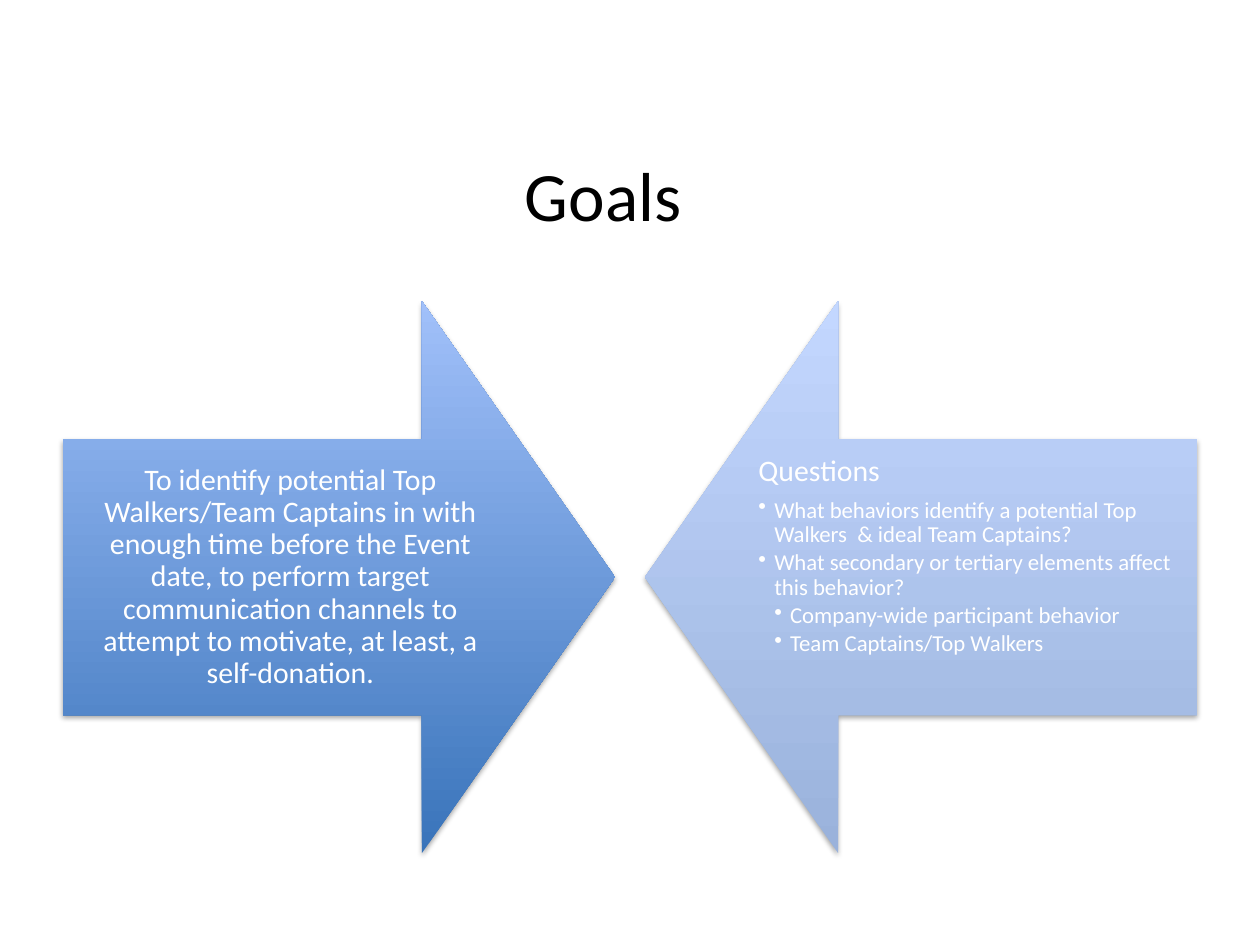
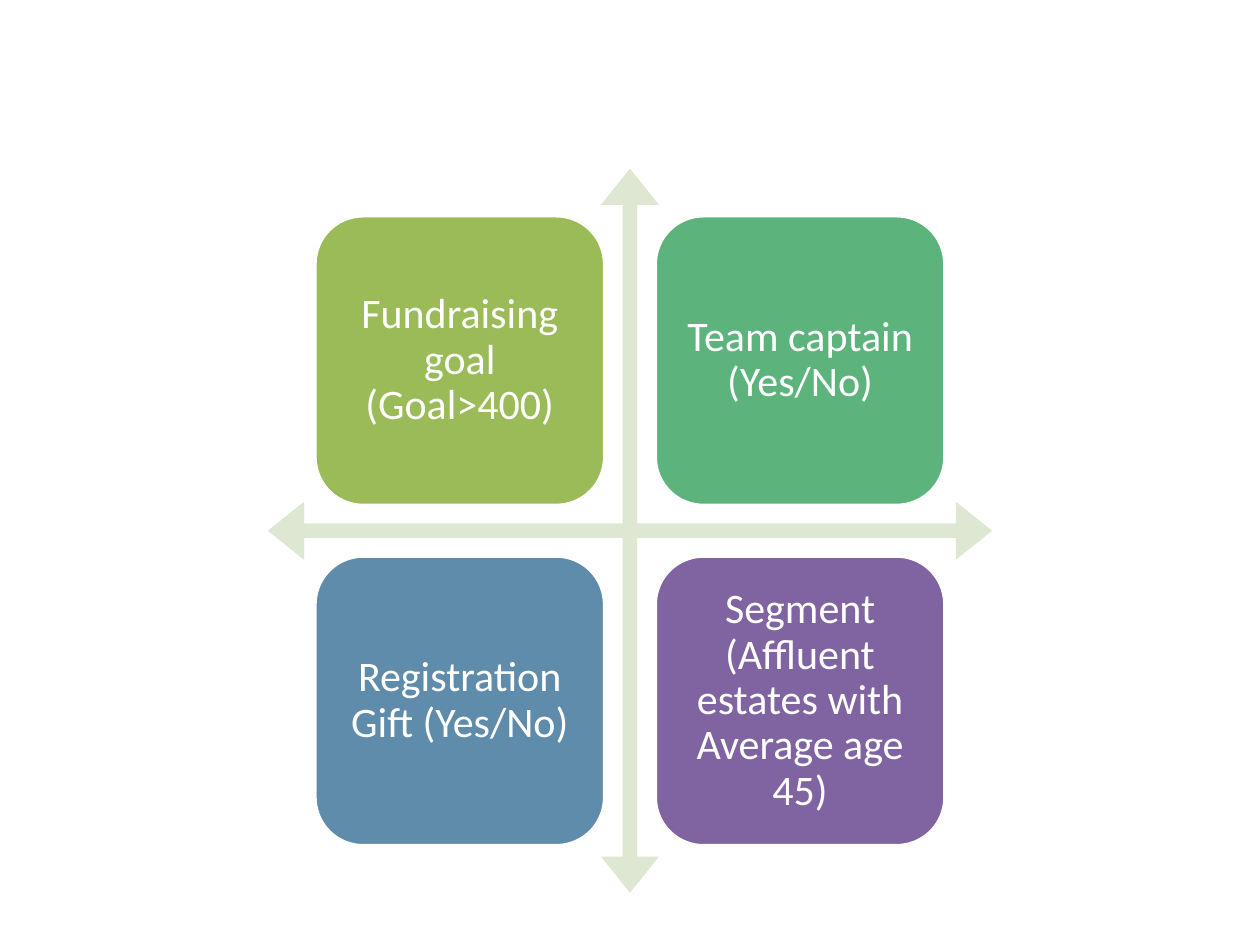
from lxml import etree
from pptx import Presentation
from pptx.dml.color import RGBColor
from pptx.enum import shapes, text
from pptx.oxml.ns import qn
from pptx.util import Cm, Pt

FONT = "Calibri"
HEX = {
    "ink": "000000", "white": "FFFFFF",
    "deep": "3974BA", "sky": "A1C0FA",
    "haze": "9AB2DB", "mist": "C3D7FF",
    "cross": "DEE7D1", "lime": "9BBB59", "green": "5CB37C",
    "blue": "608CAB", "plum": "8064A2",
}
KIND = shapes.MSO_SHAPE
ALIGN = text.PP_ALIGN
MIDDLE = text.MSO_ANCHOR.MIDDLE

GOAL = ("To identify potential Top Walkers/Team Captains in with enough time "
        "before the Event date, to perform target communication channels to "
        "attempt to motivate, at least, a self-donation.")
ASKS = [
    (1, "What behaviors identify a potential Top Walkers  & ideal Team Captains?"),
    (1, "What secondary or tertiary elements affect this behavior?"),
    (2, "Company-wide participant behavior"),
    (2, "Team Captains/Top Walkers"),
]
TILES = [
    ("Fundraising goal (Goal>400)", "lime"),
    ("Team captain (Yes/No)", "green"),
    ("Registration Gift (Yes/No)", "blue"),
    ("Segment (Affluent estates with Average age 45)", "plum"),
]


def rgb(name):
    return RGBColor.from_string(HEX[name])


def style(para, size, color="white", align=ALIGN.CENTER, line=0.9):
    para.alignment = align
    para.line_spacing = line
    font = para.font
    font.name, font.size = FONT, Pt(size)
    font.color.rgb = rgb(color)


def bullet(para, level):
    """Hang a bullet, one step further in for each level."""
    step = Cm(0.32)
    props = para._p.get_or_add_pPr()
    props.set("marL", str(step * level))
    props.set("indent", str(-step))
    etree.SubElement(props, qn("a:buChar")).set("char", "•")
    para.level = level


def frame(shape, inset):
    """Prepare the text area of a shape."""
    area = shape.text_frame
    area.word_wrap = True
    area.margin_left = area.margin_right = Cm(inset)
    area.margin_top = area.margin_bottom = Cm(inset)
    return area


def title(slide, words):
    head = slide.shapes.title
    head.left, head.top = Cm(1.07), Cm(2.97)
    head.width, head.height = Cm(22.83), Cm(1.88)
    area = head.text_frame
    area.text = words
    area.auto_size = text.MSO_AUTO_SIZE.NONE
    area.vertical_anchor = MIDDLE
    style(area.paragraphs[0], 39.6, "ink", line=1.0)


def solid(slide, kind, left, top, size, color):
    shape = slide.shapes.add_shape(kind, Cm(left), Cm(top), Cm(size), Cm(size))
    shape.shadow.inherit = False
    shape.fill.solid()
    shape.fill.fore_color.rgb = rgb(color)
    shape.line.fill.background()
    return shape


def shade(shape):
    """Give a shape a soft shadow that falls straight down."""
    props = shape._element.spPr
    drop = etree.SubElement(props.find(qn("a:effectLst")), qn("a:outerShdw"),
                            blurRad=str(Pt(3.1)), dist=str(Pt(1.8)),
                            dir="5400000", rotWithShape="0")
    tone = etree.SubElement(drop, qn("a:srgbClr"), val=HEX["ink"])
    etree.SubElement(tone, qn("a:alpha"), val="35000")


def arrow(slide, left, turn, low, high):
    """Big arrow, blended from low (bottom) to high (top)."""
    shape = solid(slide, KIND.DOWN_ARROW, left, 6.07, 11.13, low)
    shape.rotation = turn
    shape.adjustments[0], shape.adjustments[1] = 0.5, 0.35
    shape.fill.gradient()
    shape.fill.gradient_angle = 90
    for stop, name in zip(shape.fill.gradient_stops, (low, high)):
        stop.color.rgb = rgb(name)
    shape._element.spPr.find(qn("a:gradFill")).set("rotWithShape", "0")
    shade(shape)


def label(slide, left):
    """Text area over the shaft of an arrow."""
    box = slide.shapes.add_textbox(Cm(left), Cm(8.86), Cm(9.17), Cm(5.56))
    return frame(box, 0.33)


def tile(slide, left, top, size, words, color):
    shape = solid(slide, KIND.ROUNDED_RECTANGLE, left, top, size, color)
    shape.line.color.rgb = rgb("white")
    shape.line.width = Pt(2)
    area = frame(shape, 0.25)
    area.vertical_anchor = MIDDLE
    area.text = words
    style(area.paragraphs[0], 24)


def goals(deck):
    slide = deck.slides.add_slide(deck.slide_layouts[5])
    title(slide, "Goals\t")

    # Left arrow: the aim
    arrow(slide, 1.27, 270, "deep", "sky")
    aim = label(slide, 1.27)
    aim.vertical_anchor = MIDDLE
    aim.text = GOAL
    style(aim.paragraphs[0], 17)

    # Right arrow: the questions
    arrow(slide, 13, 90, "haze", "mist")
    area = label(slide, 14.96)
    area.text = "Questions"
    head = area.paragraphs[0]
    style(head, 17, align=ALIGN.LEFT)
    head.space_after = Pt(6)
    for level, words in ASKS:
        para = area.add_paragraph()
        para.text = words
        bullet(para, level)
        style(para, 13, align=ALIGN.LEFT)
        para.space_after = Pt(2)


def factors(deck):
    slide = deck.slides.add_slide(deck.slide_layouts[6])

    # Crossed axes
    cross = solid(slide, KIND.QUAD_ARROW, 5.4, 3.4, 14.6, "cross")
    for i, part in enumerate((0.02, 0.04, 0.05)):
        cross.adjustments[i] = part

    # Two by two tiles
    size, step = 5.84, 6.86
    for i, (words, color) in enumerate(TILES):
        row, col = divmod(i, 2)
        tile(slide, 6.35 + col * step, 4.35 + row * step, size, words, color)


def main():
    deck = Presentation()
    deck.slide_width, deck.slide_height = Cm(25.4), Cm(19.05)
    goals(deck)
    factors(deck)
    deck.save("out.pptx")


if __name__ == "__main__":
    main()
